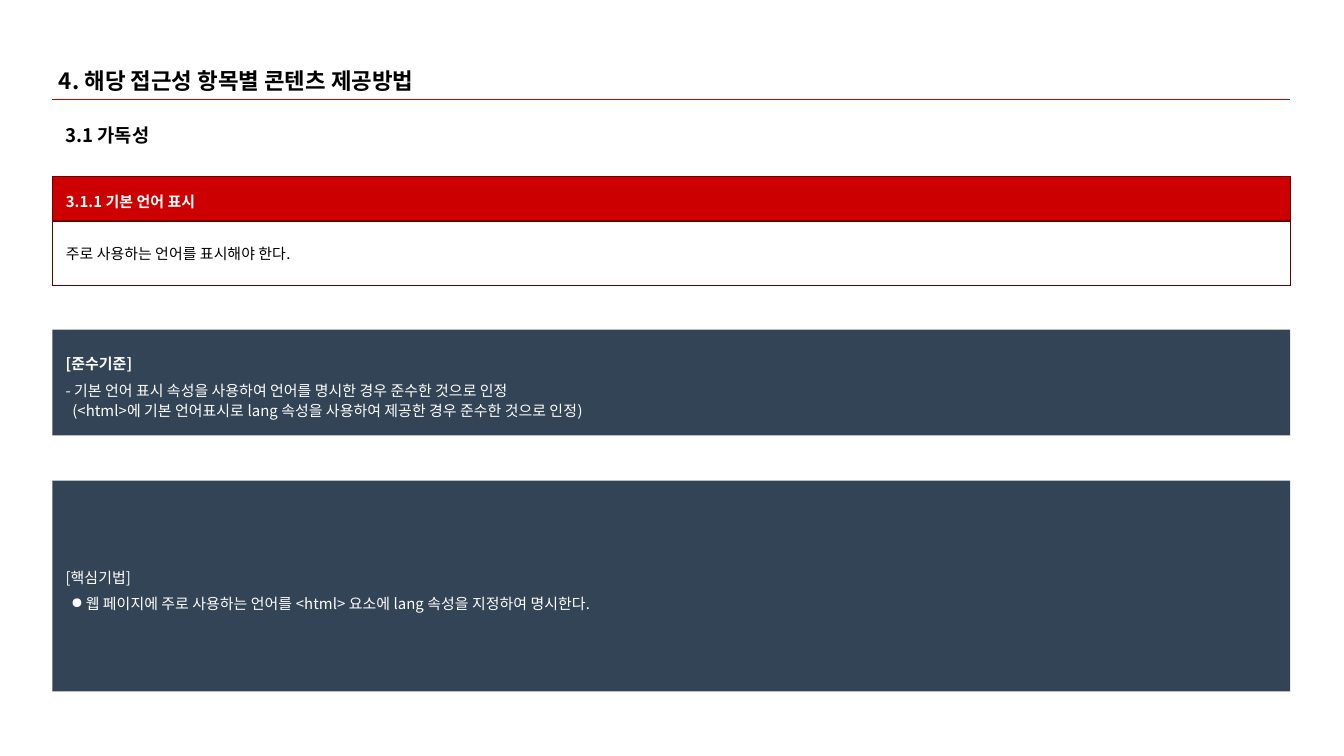
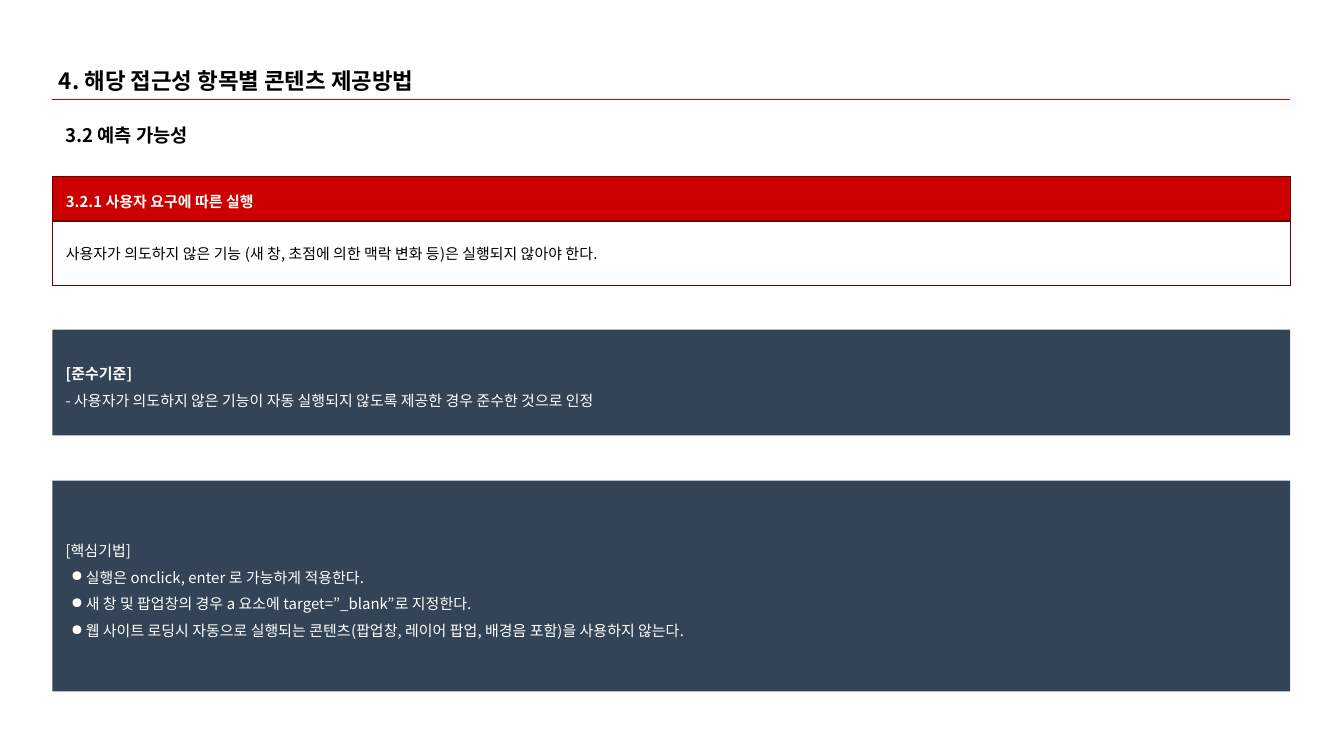
from dataclasses import dataclass

from lxml.etree import SubElement
from pptx import Presentation
from pptx.dml.color import RGBColor
from pptx.enum.shapes import MSO_CONNECTOR, MSO_SHAPE
from pptx.enum.text import MSO_ANCHOR, PP_ALIGN
from pptx.oxml.ns import qn
from pptx.util import Pt

# Content
TITLE = "4. 해당 접근성 항목별 콘텐츠 제공방법"
CRITERIA_HEADING = "[준수기준]"
TECHNIQUES_HEADING = "[핵심기법]"
GUIDELINES = [
    {
        "section": "3.1 가독성",
        "item": "3.1.1 기본 언어 표시",
        "rule": "주로 사용하는 언어를 표시해야 한다.",
        "criterion": "- 기본 언어 표시 속성을 사용하여 언어를 명시한 경우 준수한 것으로 인정",
        "details": ["(<html>에 기본 언어표시로 lang 속성을 사용하여 제공한 경우 준수한 것으로 인정)"],
        "techniques": ["웹 페이지에 주로 사용하는 언어를 <html> 요소에 lang 속성을 지정하여 명시한다."],
    },
    {
        "section": "3.2 예측 가능성",
        "item": "3.2.1 사용자 요구에 따른 실행",
        "rule": "사용자가 의도하지 않은 기능 (새 창, 초점에 의한 맥락 변화 등)은 실행되지 않아야 한다.",
        "criterion": "- 사용자가 의도하지 않은 기능이 자동 실행되지 않도록 제공한 경우 준수한 것으로 인정",
        "details": [],
        "techniques": [
            "실행은 onclick, enter 로 가능하게 적용한다.",
            "새 창 및 팝업창의 경우 a 요소에 target=”_blank”로 지정한다.",
            "웹 사이트 로딩시 자동으로 실행되는 콘텐츠(팝업창, 레이어 팝업, 배경음 포함)을 사용하지 않는다.",
        ],
    },
]


@dataclass(frozen=True)
class Theme:
    font: str = "Noto Sans CJK KR"
    black: str = "000000"
    white: str = "FFFFFF"
    red: str = "CC0000"
    border: str = "660000"
    navy: str = "334456"
    title_size: float = 12
    section_size: float = 10
    body_size: float = 8
    line_width: float = 0.75
    inset: float = 7.2


THEME = Theme()

# Layout in points: left, top, width, height
LEFT, WIDTH = 28.1, 663.1
TITLE_BOX = (24.5, 28.8, 671, 26.6)
RULE_TOP = 53.4
SECTION_BOX = (LEFT, 60.5, WIDTH, 19.4)
TABLE_TOP, ROW_HEIGHTS = 94.4, (22.3, 34.5)
CRITERIA_BOX = (LEFT, 176.6, WIDTH, 56.7)
TECHNIQUES_BOX = (LEFT, 257.5, WIDTH, 113)
DETAIL_INDENT = 3.6
BULLET_MARGIN, BULLET_INDENT = 10.8, -7.9


def points(values):
    return [Pt(value) for value in values]


def color(value):
    return RGBColor.from_string(value)


def set_insets(target):
    target.margin_left = target.margin_right = Pt(THEME.inset)
    target.margin_top = target.margin_bottom = Pt(THEME.inset)


def write(paragraph, text, size, text_color, bold=False, spacing=None,
          margin=0, indent=0, bullet=None):
    paragraph.text = text
    paragraph.alignment = PP_ALIGN.LEFT
    if spacing:
        paragraph.line_spacing = spacing
    properties = paragraph._p.get_or_add_pPr()
    properties.set("marL", str(Pt(margin)))
    properties.set("indent", str(Pt(indent)))
    if bullet:
        bullet_color = SubElement(properties, qn("a:buClr"))
        SubElement(bullet_color, qn("a:srgbClr"), val=text_color)
        SubElement(properties, qn("a:buChar"), char=bullet)
    font = paragraph.font
    font.name, font.size, font.bold = THEME.font, Pt(size), bold
    font.color.rgb = color(text_color)
    SubElement(properties.find(qn("a:defRPr")), qn("a:ea"), typeface=THEME.font)


def add_heading(slide, box, text, size):
    frame = slide.shapes.add_textbox(*points(box)).text_frame
    frame.word_wrap = True
    set_insets(frame)
    write(frame.paragraphs[0], text, size, THEME.black, bold=True)


def add_rule(slide):
    line = slide.shapes.add_connector(
        MSO_CONNECTOR.STRAIGHT, *points((LEFT, RULE_TOP, LEFT + WIDTH, RULE_TOP)))
    line.line.color.rgb = color(THEME.red)
    line.line.width = Pt(THEME.line_width)
    SubElement(line._element.spPr, qn("a:effectLst"))


def add_panel(slide, box, lines):
    shape = slide.shapes.add_shape(MSO_SHAPE.RECTANGLE, *points(box))
    shape.shadow.inherit = False
    shape.fill.solid()
    shape.fill.fore_color.rgb = color(THEME.navy)
    shape.line.fill.background()
    frame = shape.text_frame
    frame.word_wrap = True
    frame.vertical_anchor = MSO_ANCHOR.MIDDLE
    set_insets(frame)
    for index, (text, style) in enumerate(lines):
        paragraph = frame.add_paragraph() if index else frame.paragraphs[0]
        write(paragraph, text, THEME.body_size, THEME.white, **style)


def add_borders(cell):
    properties = cell._tc.get_or_add_tcPr()
    for side in ("lnL", "lnR", "lnT", "lnB"):
        border = SubElement(properties, qn(f"a:{side}"), w=str(Pt(THEME.line_width)))
        fill = SubElement(border, qn("a:solidFill"))
        SubElement(fill, qn("a:srgbClr"), val=THEME.border)


def add_item_table(slide, item, rule):
    box = (LEFT, TABLE_TOP, WIDTH, sum(ROW_HEIGHTS))
    table = slide.shapes.add_table(2, 1, *points(box)).table
    table.horz_banding = table.first_row = False
    rows = ((item, THEME.white, THEME.red), (rule, THEME.black, None))
    for index, (text, text_color, fill_color) in enumerate(rows):
        table.rows[index].height = Pt(ROW_HEIGHTS[index])
        cell = table.cell(index, 0)
        cell.vertical_anchor = MSO_ANCHOR.MIDDLE
        set_insets(cell)
        add_borders(cell)
        if fill_color:
            cell.fill.solid()
            cell.fill.fore_color.rgb = color(fill_color)
        else:
            cell.fill.background()
        write(cell.text_frame.paragraphs[0], text, THEME.body_size, text_color,
              bold=index == 0)


def add_guideline(presentation, guideline):
    slide = presentation.slides.add_slide(presentation.slide_layouts[6])
    # Headings
    add_heading(slide, TITLE_BOX, TITLE, THEME.title_size)
    add_rule(slide)
    add_heading(slide, SECTION_BOX, guideline["section"], THEME.section_size)

    # Criteria and techniques
    body = {"spacing": 1.5}
    detail = {"spacing": 1.15, "margin": DETAIL_INDENT}
    bulleted = body | {"margin": BULLET_MARGIN, "indent": BULLET_INDENT, "bullet": "●"}
    criteria = [(CRITERIA_HEADING, body | {"bold": True}), (guideline["criterion"], body)]
    criteria += [(text, detail) for text in guideline["details"]]
    techniques = [(TECHNIQUES_HEADING, body)]
    techniques += [(text, bulleted) for text in guideline["techniques"]]
    add_panel(slide, CRITERIA_BOX, criteria)
    add_panel(slide, TECHNIQUES_BOX, techniques)

    # Item and its rule
    add_item_table(slide, guideline["item"], guideline["rule"])


def main():
    presentation = Presentation()
    presentation.slide_width, presentation.slide_height = Pt(720), Pt(405)
    for guideline in GUIDELINES:
        add_guideline(presentation, guideline)
    presentation.save("out.pptx")


if __name__ == "__main__":
    main()
